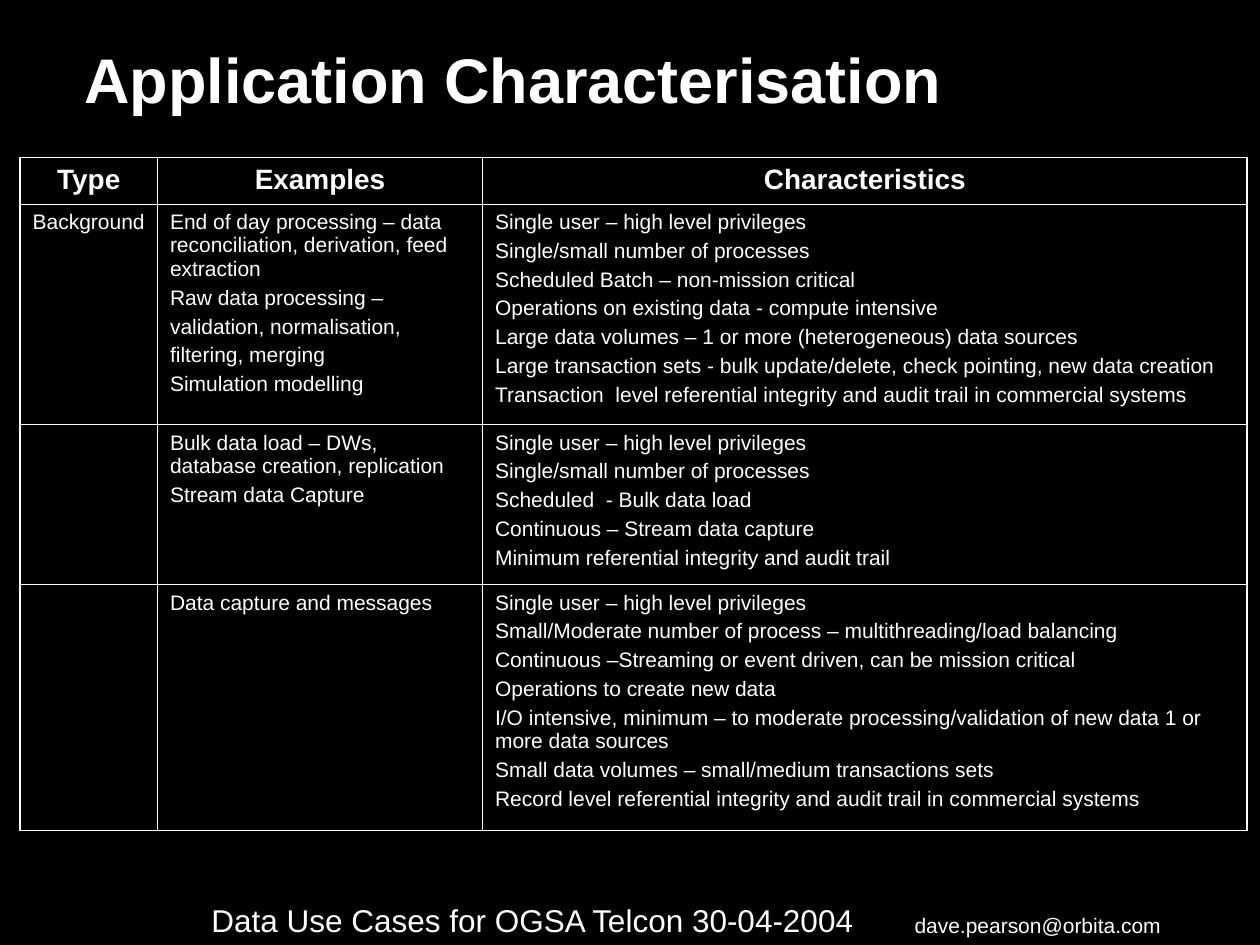
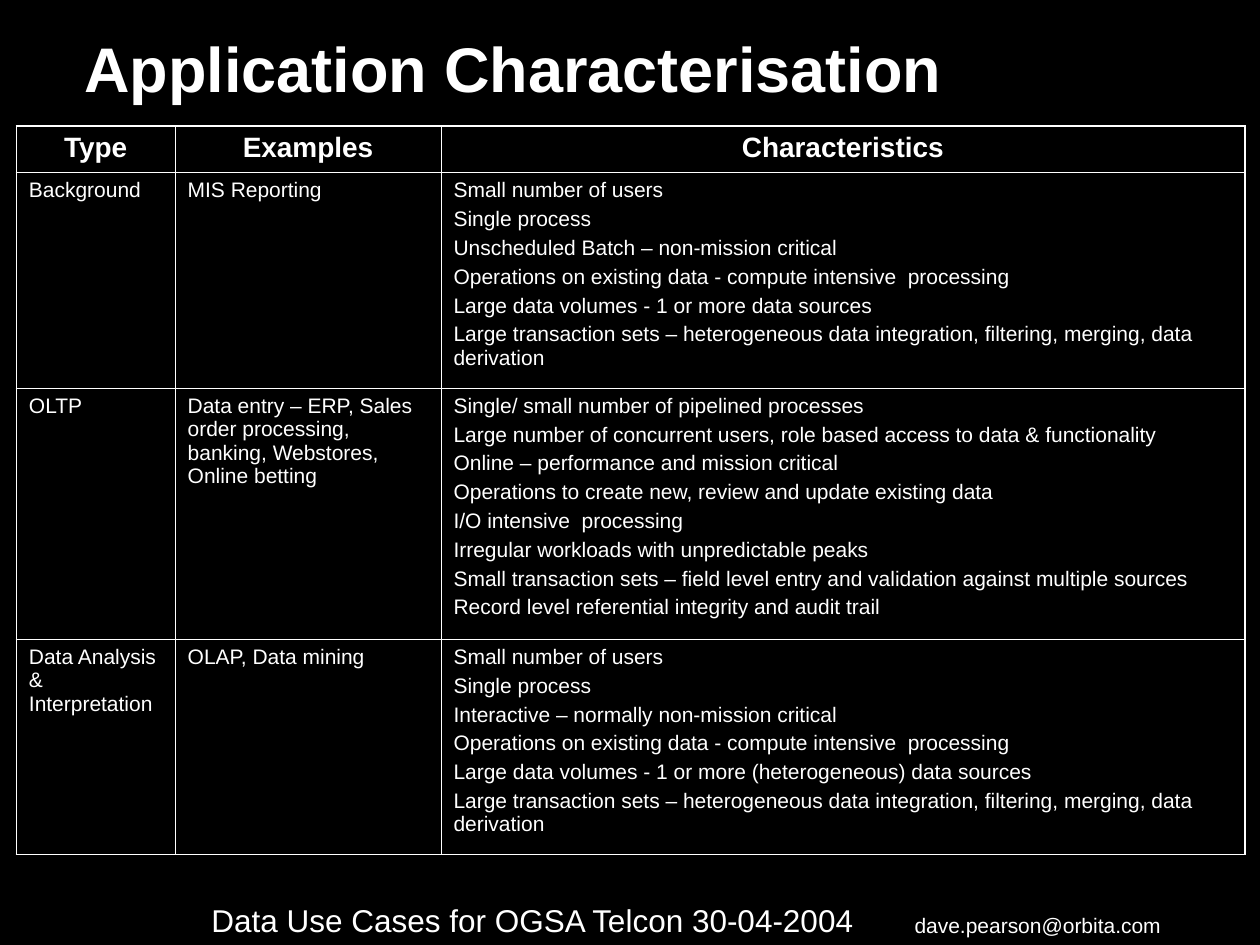
from dataclasses import dataclass

from lxml import etree
from pptx import Presentation
from pptx.dml import color
from pptx.enum import text as enum
from pptx.oxml import ns
from pptx.util import Inches, Pt

# Shared look
FONT = "Arial"
INK = "FFFFFF"
PAPER = "000000"
THIN, THICK = 0.45, 1.08
TITLE = "Application Characterisation"
HEADS = ("Type", "Examples", "Characteristics")


@dataclass
class Note:
    """One footer text."""
    text: str
    box: tuple[float, float, float, float]
    size: int


@dataclass
class Row:
    """One table row; each column holds its lines."""
    height: float
    kind: str
    samples: list[str]
    traits: list[str]


@dataclass
class Page:
    """One slide with a title and a table."""
    top: float
    left: float
    head: float
    cols: tuple[float, float, float]
    rows: list[Row]


FOOT = (
    Note("Data Use Cases for OGSA Telcon 30-04-2004", (1.58, 7.1, 5.58, 0.4), 18),
    Note("dave.pearson@orbita.com", (7.16, 7.19, 2.19, 0.3), 12),
)

# Lines that recur in the tables
SINGLE = ["Single user – high level privileges"]
FEW = SINGLE + ["Single/small number of processes"]
SMALL = ["Small number of users", "Single process"]
COMPUTE = "Operations on existing data - compute intensive"
MERGE = ("Large transaction sets – heterogeneous data integration, "
         "filtering, merging, data derivation")
AUDIT = "Record level referential integrity and audit trail"

PAGES = (
    Page(0.08, 0.16, 1.25, (1.09, 2.58, 6.07), [
        Row(1.75, "Background", [
            "End of day processing – data reconciliation, derivation, feed extraction",
            "Raw data processing –",
            "validation, normalisation,",
            "filtering, merging",
            "Simulation modelling",
        ], FEW + [
            "Scheduled Batch – non-mission critical",
            COMPUTE,
            "Large data volumes – 1 or more (heterogeneous) data sources",
            "Large transaction sets - bulk update/delete, check pointing, new data creation",
            "Transaction  level referential integrity and audit trail in commercial systems",
        ]),
        Row(1.27, "", [
            "Bulk data load – DWs, database creation, replication",
            "Stream data Capture",
        ], FEW + [
            "Scheduled  - Bulk data load",
            "Continuous – Stream data capture",
            "Minimum referential integrity and audit trail",
        ]),
        Row(1.95, "", ["Data capture and messages"], SINGLE + [
            "Small/Moderate number of process – multithreading/load balancing",
            "Continuous –Streaming or event driven, can be mission critical",
            "Operations to create new data",
            "I/O intensive, minimum – to moderate processing/validation of new data "
            "1 or more data sources",
            "Small data volumes – small/medium transactions sets",
            AUDIT + " in commercial systems",
        ]),
    ]),
    Page(0, 0.13, 1, (1.26, 2.11, 6.38), [
        Row(1.71, "Background", ["MIS Reporting"], SMALL + [
            "Unscheduled Batch – non-mission critical",
            COMPUTE + "  processing",
            "Large data volumes - 1 or more data sources",
            MERGE,
        ]),
        Row(1.99, "OLTP", [
            "Data entry – ERP, Sales order processing, banking, Webstores, Online betting",
        ], [
            "Single/ small number of pipelined processes",
            "Large number of concurrent users, role based access to data & functionality",
            "Online – performance and mission critical",
            "Operations to create new, review and update existing data",
            "I/O intensive  processing",
            "Irregular workloads with unpredictable peaks",
            "Small transaction sets – field level entry and validation against multiple sources",
            AUDIT,
        ]),
        Row(1.71, "Data Analysis & Interpretation", ["OLAP, Data mining"], SMALL + [
            "Interactive – normally non-mission critical",
            COMPUTE + "  processing",
            "Large data volumes - 1 or more (heterogeneous) data sources",
            MERGE,
        ]),
    ]),
)


def paint(target, tone: str) -> None:
    """Give a fill a solid colour."""
    target.solid()
    target.fore_color.rgb = color.RGBColor.from_string(tone)


def style(frame, size: int, bold: bool = False, align=enum.PP_ALIGN.LEFT) -> None:
    """Format every paragraph and run of a text frame."""
    for i, para in enumerate(frame.paragraphs):
        para.alignment = align
        para.space_before = Pt(3 if i else 0)
        para.font.size = Pt(size)
        for run in para.runs:
            run.font.name = FONT
            run.font.size = Pt(size)
            run.font.bold = bold
            paint(run.font.fill, INK)


def edge(cell, widths: dict[str, float]) -> None:
    """Draw the cell borders, which precede the fill."""
    props = cell._tc.get_or_add_tcPr()
    for i, (side, width) in enumerate(widths.items()):
        line = etree.Element(ns.qn(f"a:ln{side}"), w=str(Pt(width)))
        solid = etree.SubElement(line, ns.qn("a:solidFill"))
        etree.SubElement(solid, ns.qn("a:srgbClr"), val=INK)
        props.insert(i, line)


def add_title(slide, top: float) -> None:
    title = slide.shapes.title
    title.left, title.top = Inches(0.67), Inches(top)
    title.width, title.height = Inches(8.17), Inches(1.17)
    frame = title.text_frame
    frame.text = TITLE
    frame.auto_size = enum.MSO_AUTO_SIZE.NONE
    frame.vertical_anchor = enum.MSO_ANCHOR.MIDDLE
    frame.margin_left = frame.margin_right = 0
    frame.margin_top = frame.margin_bottom = 0
    style(frame, 36, bold=True)
    frame.paragraphs[0].line_spacing = 0.85


def add_grid(slide, page: Page) -> None:
    cells = [HEADS] + [
        (row.kind, "\n".join(row.samples), "\n".join(row.traits)) for row in page.rows
    ]
    highs = [0.37] + [row.height for row in page.rows]
    grid = slide.shapes.add_table(
        len(cells), len(HEADS), Inches(page.left), Inches(page.head),
        Inches(sum(page.cols)), Inches(sum(highs))).table
    grid.first_row = grid.horz_banding = False
    for col, width in zip(grid.columns, page.cols):
        col.width = Inches(width)
    for r, (texts, high) in enumerate(zip(cells, highs)):
        grid.rows[r].height = Inches(high)
        for c, words in enumerate(texts):
            cell = grid.cell(r, c)
            cell.text_frame.text = words
            if r == 0:
                style(cell.text_frame, 16, True, enum.PP_ALIGN.CENTER)
            else:
                style(cell.text_frame, 12)
            cell.fill.background()
            outer = {"L": c == 0, "R": c == len(HEADS) - 1,
                     "T": r == 0, "B": r == len(cells) - 1}
            edge(cell, {side: THICK if out else THIN for side, out in outer.items()})


def add_foot(slide) -> None:
    for note in FOOT:
        box = slide.shapes.add_textbox(*map(Inches, note.box))
        box.text_frame.word_wrap = True
        box.text_frame.text = note.text
        style(box.text_frame, note.size)


def main() -> None:
    deck = Presentation()
    deck.slide_width, deck.slide_height = Inches(10), Inches(7.5)
    paint(deck.slide_master.background.fill, PAPER)
    for page in PAGES:
        slide = deck.slides.add_slide(deck.slide_layouts[5])
        add_foot(slide)
        add_title(slide, page.top)
        add_grid(slide, page)
    deck.save("out.pptx")


if __name__ == "__main__":
    main()
